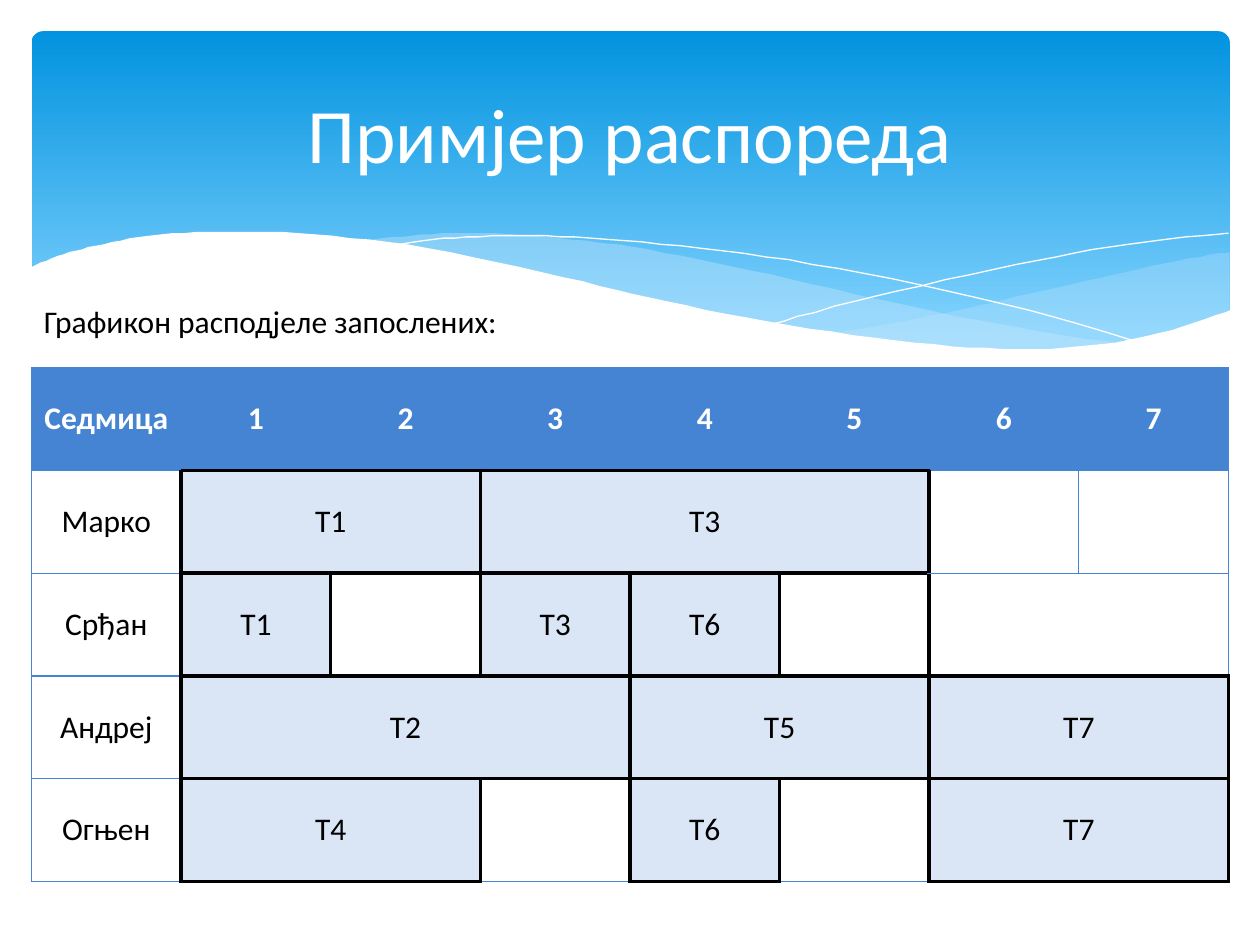
from dataclasses import dataclass
from itertools import product
from typing import NamedTuple

from lxml.etree import SubElement
from pptx import Presentation
from pptx.dml.color import RGBColor
from pptx.enum.shapes import MSO_SHAPE
from pptx.enum.text import MSO_ANCHOR, PP_ALIGN
from pptx.oxml import parse_xml
from pptx.oxml.ns import nsdecls, qn
from pptx.util import Inches, Pt

WIDTH, HEIGHT = Inches(10), Inches(7.5)
UNIT = WIDTH / 1000
STEPS = 6
FONT = "Calibri"
BLUE, PALE, MIST, WHITE, BLACK = "4584D3", "DAE6F6", "C6E7FC", "FFFFFF", "000000"
WEEKS = 7
WORKERS = ["Марко", "Срђан", "Андреј", "Огњен"]


class Area(NamedTuple):
    left: float
    top: float
    width: float
    height: float

    def lengths(self) -> tuple[int, int, int, int]:
        return (int(self.left * WIDTH), int(self.top * HEIGHT),
                int(self.width * WIDTH), int(self.height * HEIGHT))


@dataclass
class Wave:
    curves: list[list[tuple[float, float]]]
    fill: str = ""
    opacity: int = 100


@dataclass
class Booking:
    row: int
    week: int
    weeks: int
    task: str


WAVES = [
    Wave([[(976, 200), (935, 207), (861, 223), (753, 248), (661, 265)],
          [(661, 265), (719, 272), (803, 278), (881, 273), (935, 262), (976, 247)]],
         MIST, 29),
    Wave([[(893, 273), (837, 265), (741, 247), (629, 222), (541, 203), (465, 191),
           (380, 185), (328, 187), (286, 191)],
          [(286, 191), (362, 203), (449, 222), (566, 248), (665, 266), (748, 276),
           (818, 278), (893, 273)]], MIST, 40),
    Wave([[(309, 195), (344, 190), (401, 187), (469, 189), (556, 197), (665, 213),
           (795, 241), (907, 272)]]),
    Wave([[(613, 257), (695, 235), (806, 210), (895, 194), (975, 185)]]),
    Wave([[(977, 246), (930, 262), (875, 273), (809, 277), (726, 272), (626, 258),
           (529, 239), (447, 220), (340, 197), (250, 186), (177, 184), (119, 187),
           (76, 195), (46, 203), (23, 213)],
          [(23, 329), (977, 329)]], WHITE),
]

BOOKINGS = [
    Booking(1, 1, 2, "Т1"), Booking(1, 3, 3, "Т3"),
    Booking(2, 1, 1, "Т1"), Booking(2, 3, 1, "Т3"), Booking(2, 4, 1, "Т6"),
    Booking(2, 5, 1, ""),
    Booking(3, 1, 3, "Т2"), Booking(3, 4, 2, "Т5"), Booking(3, 6, 2, "Т7"),
    Booking(4, 1, 2, "Т4"), Booking(4, 4, 1, "Т6"), Booking(4, 6, 2, "Т7"),
]


def colour(value: str) -> RGBColor:
    return RGBColor.from_string(value)


def smooth(points: list[tuple[float, float]]) -> list[tuple[float, float]]:
    padded = [points[0], *points, points[-1]]
    result = [points[0]]
    for a, b, c, d in zip(padded, padded[1:], padded[2:], padded[3:]):
        for step in range(1, STEPS + 1):
            t = step / STEPS
            result.append(tuple(
                (2 * q + (r - p) * t + (2 * p - 5 * q + 4 * r - s) * t ** 2
                 + (3 * q - p - 3 * r + s) * t ** 3) / 2
                for p, q, r, s in zip(a, b, c, d)))
    return result


def add_wave(page, wave: Wave) -> None:
    points = [point for curve in wave.curves for point in smooth(curve)]
    builder = page.shapes.build_freeform(*points[0], scale=UNIT)
    builder.add_line_segments(points[1:], close=bool(wave.fill))
    shape = builder.convert_to_shape()
    shape.shadow.inherit = False
    if not wave.fill:
        shape.fill.background()
        shape.line.color.rgb = colour(WHITE)
        shape.line.width = Pt(0)
        return
    shape.line.fill.background()
    shape.fill.solid()
    shape.fill.fore_color.rgb = colour(wave.fill)
    if wave.opacity < 100:
        tint = shape.fill._xPr.find(qn("a:solidFill"))[0]
        SubElement(tint, qn("a:alpha"), val=str(wave.opacity * 1000))


def add_banner(page, area: Area) -> None:
    banner = page.shapes.add_shape(MSO_SHAPE.ROUNDED_RECTANGLE, *area.lengths())
    banner.adjustments[0] = 0.034
    banner.shadow.inherit = False
    banner.line.fill.background()
    banner.fill.gradient()
    banner.fill.gradient_angle = 270
    for stop, (position, value) in zip(banner.fill.gradient_stops,
                                       [(0, "0293E0"), (0.9, "83D3FE")]):
        stop.position = position
        stop.color.rgb = colour(value)


def write(frame, text: str, size: int, value: str, bold: bool = False,
          align: PP_ALIGN = PP_ALIGN.CENTER) -> None:
    para = frame.paragraphs[0]
    para.alignment = align
    span = para.add_run()
    span.text = text
    span.font.name = FONT
    span.font.size = Pt(size)
    span.font.bold = bold
    span.font.color.rgb = colour(value)


def add_text(page, area: Area, text: str, size: int, value: str,
             align: PP_ALIGN, anchor: MSO_ANCHOR) -> None:
    box = page.shapes.add_textbox(*area.lengths())
    box.text_frame.word_wrap = True
    box.text_frame.vertical_anchor = anchor
    write(box.text_frame, text, size, value, align=align)


def cell_edges(row: int, column: int) -> dict[str, tuple[str, int, int]]:
    return {"lnL": ("v", row, column), "lnR": ("v", row, column + 1),
            "lnT": ("h", row, column), "lnB": ("h", row + 1, column)}


def border(tag: str, value: str, points: float) -> object:
    paint = (f'<a:solidFill><a:srgbClr val="{value}"/></a:solidFill>'
             if points else "<a:noFill/>")
    return parse_xml(f'<a:{tag} {nsdecls("a")} w="{Pt(points)}">{paint}</a:{tag}>')


def add_schedule(page, area: Area) -> None:
    rows, columns = len(WORKERS) + 1, WEEKS + 1
    table = page.shapes.add_table(rows, columns, *area.lengths()).table
    table.horz_banding = False
    for row in table.rows:
        row.height = int(area.height * HEIGHT / rows)

    texts = {(0, week): str(week) for week in range(1, columns)}
    texts |= {(row, 0): name for row, name in enumerate(["Седмица", *WORKERS])}
    texts |= {(item.row, item.week): item.task for item in BOOKINGS if item.task}
    booked = {(item.row, item.week + offset): item.task
              for item in BOOKINGS for offset in range(item.weeks)}
    heavy = {edge for place in booked for edge in cell_edges(*place).values()}
    hidden = {("v", 2, WEEKS)}

    for place in product(range(rows), range(columns)):
        cell = table.cell(*place)
        cell.vertical_anchor = MSO_ANCHOR.MIDDLE
        header = place[0] == 0
        fill = BLUE if header else PALE if booked.get(place) else ""
        if fill:
            cell.fill.solid()
            cell.fill.fore_color.rgb = colour(fill)
        else:
            cell.fill.background()
        properties = cell._tc.get_or_add_tcPr()
        for index, (tag, edge) in enumerate(cell_edges(*place).items()):
            value, points = (BLACK, 2.25) if edge in heavy else (BLUE, 0.75)
            properties.insert(index, border(tag, value, 0 if edge in hidden else points))
        if place in texts:
            write(cell.text_frame, texts[place], 18, WHITE if header else BLACK, header)

    for item in BOOKINGS:
        if item.weeks > 1:
            last = table.cell(item.row, item.week + item.weeks - 1)
            table.cell(item.row, item.week).merge(last)


def main() -> None:
    deck = Presentation()
    deck.slide_width, deck.slide_height = WIDTH, HEIGHT
    page = deck.slides.add_slide(deck.slide_layouts[6])
    add_banner(page, Area(0.025, 0.033, 0.951, 0.36))
    for wave in WAVES:
        add_wave(page, wave)
    add_schedule(page, Area(0.025, 0.389, 0.95, 0.544))
    add_text(page, Area(0.05, 0.05, 0.9, 0.18), "Примјер распореда", 44, WHITE,
             PP_ALIGN.CENTER, MSO_ANCHOR.MIDDLE)
    add_text(page, Area(0.025, 0.313, 0.392, 0.054), "Графикон расподјеле запослених:",
             18, BLACK, PP_ALIGN.LEFT, MSO_ANCHOR.TOP)
    deck.save("out.pptx")


if __name__ == "__main__":
    main()
